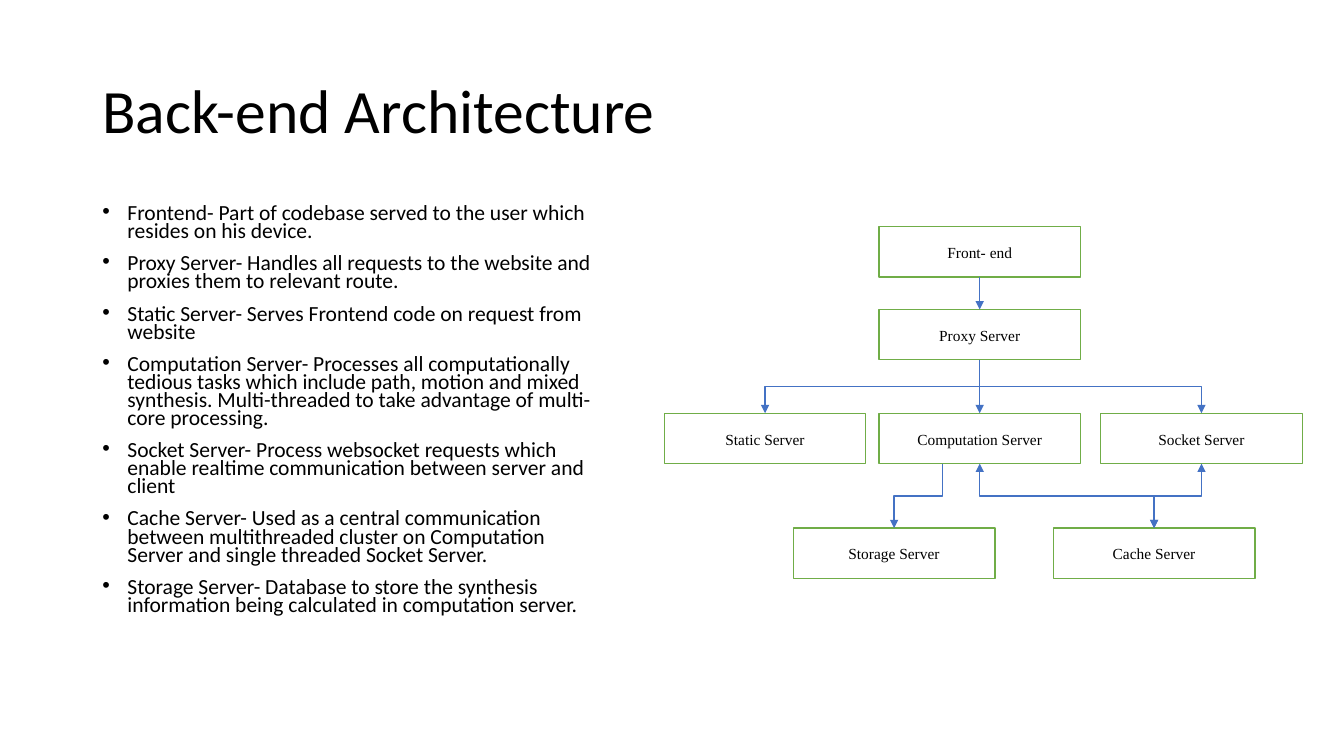
from dataclasses import dataclass

from lxml.etree import SubElement
from pptx import Presentation
from pptx.dml.color import RGBColor
from pptx.enum.shapes import MSO_CONNECTOR, MSO_SHAPE
from pptx.enum.text import MSO_ANCHOR as Anchor, PP_ALIGN as Align
from pptx.oxml.ns import qn
from pptx.slide import Slide
from pptx.text.text import TextFrame
from pptx.util import Pt


@dataclass(frozen=True)
class Theme:
    text: RGBColor = RGBColor(0x00, 0x00, 0x00)
    fill: RGBColor = RGBColor(0xFF, 0xFF, 0xFF)
    border: RGBColor = RGBColor(0x70, 0xAD, 0x47)
    arrow: RGBColor = RGBColor(0x44, 0x72, 0xC4)
    font: str = "Calibri"
    node_font: str = "Times New Roman"
    title_size: float = 44
    body_size: float = 15.4
    node_size: float = 11
    line_width: float = 1


@dataclass(frozen=True)
class Node:
    label: str
    center: float
    top: float
    width: float = 144
    height: float = 36

    @property
    def bottom(self) -> float:
        return self.top + self.height


@dataclass(frozen=True)
class Link:
    source: Node
    target: Node
    two_way: bool = False
    shift: float = 0


THEME = Theme()
INDENT = 18

FRONT = Node("Front- end", 699.84, 162)
PROXY = Node("Proxy Server", 699.84, 221.04)
STATIC = Node("Static Server", 546.5, 295.2)
COMPUTATION = Node("Computation Server", 699.84, 295.2)
SOCKET = Node("Socket Server", 858.24, 295.2)
STORAGE = Node("Storage Server", 638.64, 377.28)
CACHE = Node("Cache Server", 824.4, 377.28)
NODES = [FRONT, PROXY, STATIC, COMPUTATION, SOCKET, STORAGE, CACHE]

LINKS = [
    Link(FRONT, PROXY),
    Link(PROXY, STATIC),
    Link(PROXY, COMPUTATION),
    Link(PROXY, SOCKET),
    Link(COMPUTATION, STORAGE, shift=-26.64),
    Link(COMPUTATION, CACHE, two_way=True),
    Link(SOCKET, CACHE, two_way=True),
]

BULLETS = [
    "Frontend- Part of codebase served to the user which resides on his device.",
    "Proxy Server- Handles all requests to the website and proxies them to relevant route.",
    "Static Server- Serves Frontend code on request from website",
    "Computation Server- Processes all computationally tedious tasks which include path, "
    "motion and mixed synthesis. Multi-threaded to take advantage of multi-core processing.",
    "Socket Server- Process websocket requests which enable realtime communication "
    "between server and client",
    "Cache Server- Used as a central communication between multithreaded cluster on "
    "Computation Server and single threaded Socket Server.",
    "Storage Server- Database to store the synthesis information being calculated in "
    "computation server.",
]


def add_run(p, text: str, font: str, size: float) -> None:
    r = p.add_run()
    r.text = text
    r.font.name = font
    r.font.size = Pt(size)
    r.font.color.rgb = THEME.text


def add_text_box(s: Slide, left: float, top: float, width: float, height: float,
                 anchor: Anchor) -> TextFrame:
    tf = s.shapes.add_textbox(Pt(left), Pt(top), Pt(width), Pt(height)).text_frame
    tf.word_wrap = True
    tf.vertical_anchor = anchor
    return tf


def add_title(s: Slide, text: str) -> None:
    p = add_text_box(s, 66, 28.75, 828, 104.4, Anchor.MIDDLE).paragraphs[0]
    p.line_spacing = 0.9
    add_run(p, text, THEME.font, THEME.title_size)


def add_bullets(s: Slide, items: list[str]) -> None:
    tf = add_text_box(s, 66, 143.75, 367.2, 342.6, Anchor.TOP)
    for i, item in enumerate(items):
        p = tf.add_paragraph() if i else tf.paragraphs[0]
        pPr = p._p.get_or_add_pPr()
        pPr.set("marL", str(Pt(INDENT)))
        pPr.set("indent", str(-Pt(INDENT)))
        SubElement(pPr, qn("a:buFont")).set("typeface", "Arial")
        SubElement(pPr, qn("a:buChar")).set("char", "•")
        p.line_spacing = 0.7
        if i:
            p.space_before = Pt(10)
        add_run(p, item, THEME.font, THEME.body_size)


def add_node(s: Slide, node: Node) -> None:
    sp = s.shapes.add_shape(MSO_SHAPE.RECTANGLE, Pt(node.center - node.width / 2),
                            Pt(node.top), Pt(node.width), Pt(node.height))
    sp.shadow.inherit = False
    sp.fill.solid()
    sp.fill.fore_color.rgb = THEME.fill
    sp.line.color.rgb = THEME.border
    sp.line.width = Pt(THEME.line_width)
    tf = sp.text_frame
    tf.word_wrap = True
    tf.vertical_anchor = Anchor.MIDDLE
    p = tf.paragraphs[0]
    p.alignment = Align.CENTER
    p.line_spacing = 1.05
    p.space_after = Pt(8)
    add_run(p, node.label, THEME.node_font, THEME.node_size)


def add_link(s: Slide, link: Link) -> None:
    start = link.source.center + link.shift
    run = link.target.center - start
    drop = link.target.top - link.source.bottom
    mid_x = start + run / 2
    mid_y = link.source.bottom + drop / 2
    leftward = run < 0
    half_w = -drop / 2 if leftward else drop / 2
    half_h = abs(run) / 2
    sp = s.shapes.add_connector(MSO_CONNECTOR.ELBOW,
                                Pt(mid_x + half_w), Pt(mid_y - half_h),
                                Pt(mid_x - half_w), Pt(mid_y + half_h))
    spPr = sp._element.spPr
    spPr.find(qn("a:xfrm")).set("rot", str((90 if leftward else 270) * 60000))
    sp.line.color.rgb = THEME.arrow
    sp.line.width = Pt(THEME.line_width)
    ln = spPr.find(qn("a:ln"))
    for end in ["a:headEnd", "a:tailEnd"] if link.two_way else ["a:tailEnd"]:
        SubElement(ln, qn(end)).set("type", "triangle")
    SubElement(spPr, qn("a:effectLst"))


def main() -> None:
    prs = Presentation()
    prs.slide_width, prs.slide_height = Pt(960), Pt(540)
    s = prs.slides.add_slide(prs.slide_layouts[6])
    add_title(s, "Back-end Architecture")
    add_bullets(s, BULLETS)
    for node in NODES:
        add_node(s, node)
    for link in LINKS:
        add_link(s, link)
    prs.save("out.pptx")


if __name__ == "__main__":
    main()
